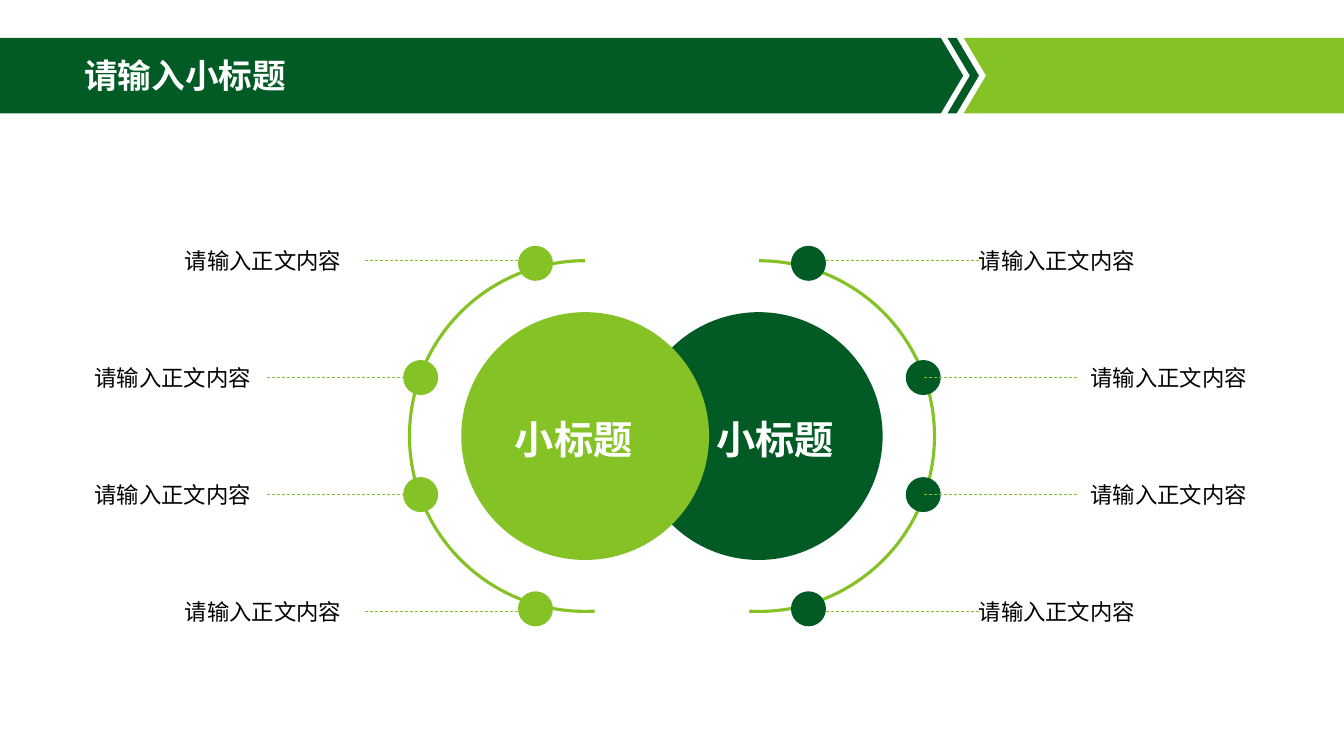
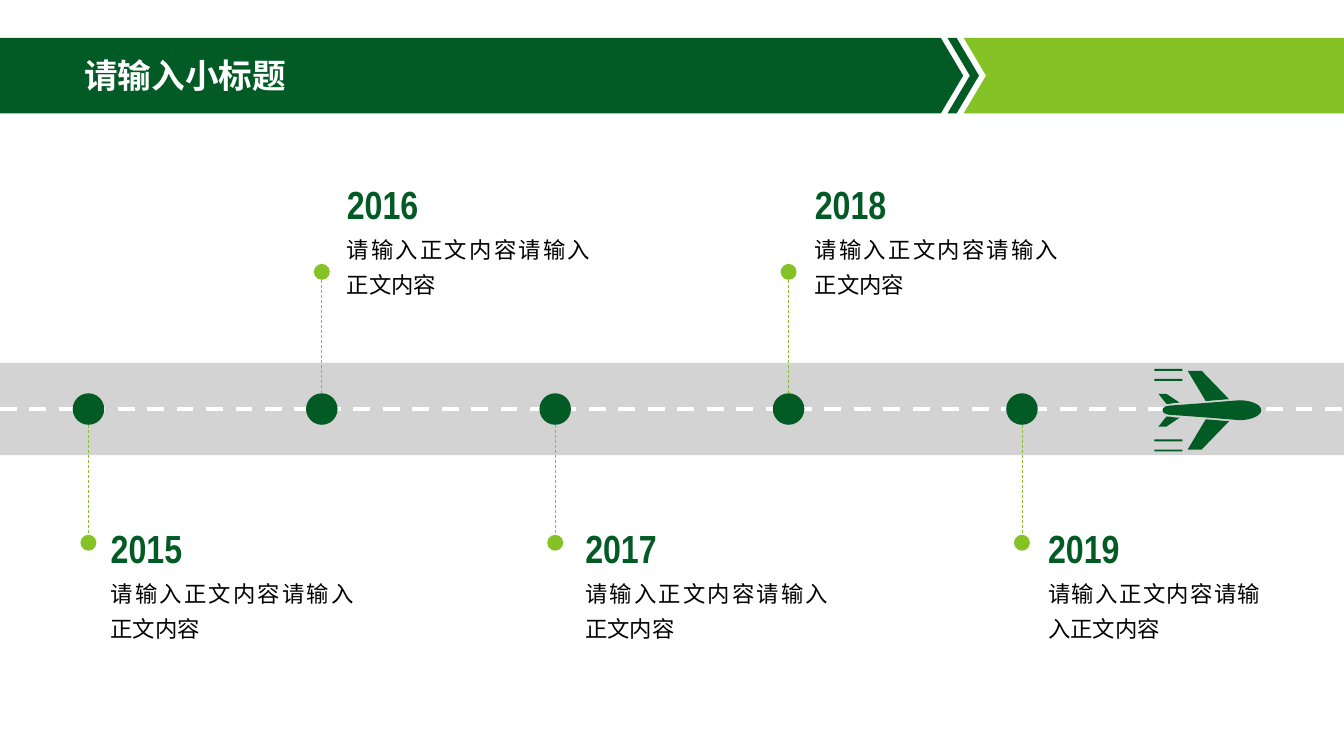
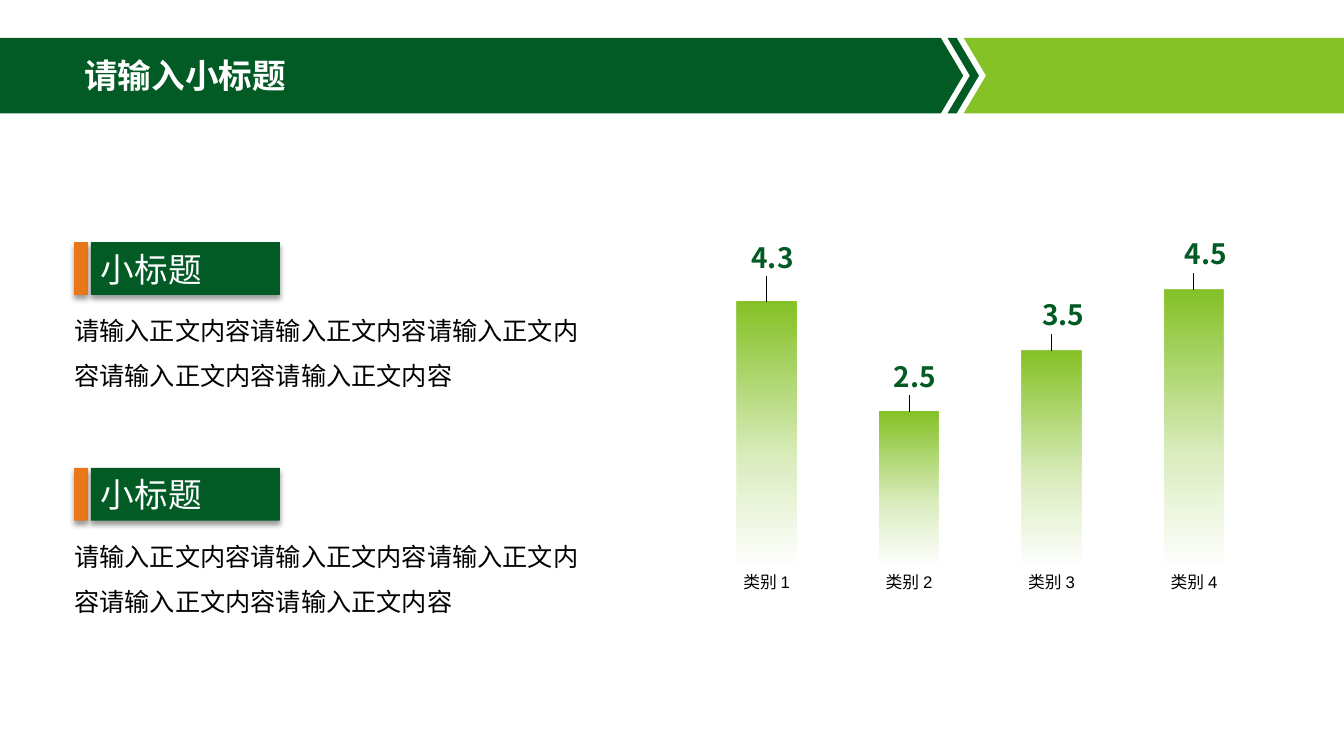
from dataclasses import dataclass
from math import cos, pi, sin

from pptx import Presentation
from pptx.chart.data import CategoryChartData
from pptx.dml.color import RGBColor
from pptx.enum import chart as charts, dml, shapes, text
from pptx.oxml import parse_xml
from pptx.oxml.ns import nsdecls
from pptx.oxml.xmlchemy import OxmlElement
from pptx.util import Pt


@dataclass(frozen=True)
class Theme:
    dark: str = "025B25"
    light: str = "85C226"
    road: str = "D3D3D3"
    accent: str = "E8781A"
    white: str = "FFFFFF"
    black: str = "000000"
    sans: str = "Noto Sans CJK SC"
    narrow: str = "Arial Narrow"
    axis: str = "Arial"
    title: int = 24
    heading: int = 28
    body: int = 18
    label: int = 16
    value: int = 20
    category: int = 12


THEME = Theme()
ALIGN = text.PP_ALIGN
PRESET = shapes.MSO_SHAPE


def rgb(colour):
    return RGBColor.from_string(colour)


def lengths(*points):
    return [Pt(point) for point in points]


def style_font(font, size, colour, name=THEME.sans, bold=False):
    font.size = Pt(size)
    font.bold = bold
    font.color.rgb = rgb(colour)
    font.name = name


def write(frame, words, size, colour, name=THEME.sans, bold=False,
          align=ALIGN.LEFT, spacing=None):
    frame.text = words
    frame.word_wrap = True
    para = frame.paragraphs[0]
    para.alignment = align
    if spacing:
        para.line_spacing = spacing
    style_font(para.font, size, colour, name, bold)
    east_asian = OxmlElement("a:ea")
    east_asian.set("typeface", name)
    para.font._rPr.append(east_asian)


def add_text(page, box, words, size, colour, grow=False, **style):
    area = page.shapes.add_textbox(*lengths(*box))
    write(area.text_frame, words, size, colour, **style)
    if grow:
        area.text_frame.auto_size = text.MSO_AUTO_SIZE.SHAPE_TO_FIT_TEXT
    return area


def paint(shape, fill):
    shape.shadow.inherit = False
    shape.fill.solid()
    shape.fill.fore_color.rgb = rgb(fill)
    shape.line.fill.background()
    return shape


def add_shape(page, preset, box, fill):
    return paint(page.shapes.add_shape(preset, *lengths(*box)), fill)


def add_disc(page, centre_x, centre_y, size, fill):
    box = (centre_x - size / 2, centre_y - size / 2, size, size)
    return add_shape(page, PRESET.OVAL, box, fill)


def add_dashes(page, start, end, colour, width=0.5):
    line = page.shapes.add_connector(shapes.MSO_CONNECTOR.STRAIGHT, *lengths(*start, *end))
    line.line.color.rgb = rgb(colour)
    line.line.width = Pt(width)
    line.line.dash_style = dml.MSO_LINE.DASH
    line._element.spPr.append(OxmlElement("a:effectLst"))


def add_outline(page, contours, fill):
    contours = [[lengths(*point) for point in contour] for contour in contours]
    builder = page.shapes.build_freeform(*contours[0][0])
    for index, contour in enumerate(contours):
        if index:
            builder.move_to(*contour[0])
        builder.add_line_segments(contour[1:], close=True)
    return paint(builder.convert_to_shape(), fill)


def add_page(deck):
    page = deck.slides.add_slide(deck.slide_layouts[5])
    title = page.shapes.title
    title.left, title.top, title.width, title.height = lengths(53, 31.5, 598, 47.5)
    title.text_frame.vertical_anchor = text.MSO_ANCHOR.MIDDLE
    title.text_frame.auto_size = text.MSO_AUTO_SIZE.NONE
    write(title.text_frame, "请输入小标题", THEME.title, THEME.white, bold=True, spacing=0.9)
    return page


def add_bands(layout, page, top, height):
    middle, bottom = top + height / 2, top + height
    bands = [
        ([(0, top), (672, top), (688, middle), (672, bottom), (0, bottom)], THEME.dark),
        ([(676.8, top), (683.3, top), (699.3, middle), (683.3, bottom),
          (676.8, bottom), (692.8, middle)], THEME.dark),
        ([(688.3, top), (960, top), (960, bottom), (688.3, bottom),
          (704.3, middle)], THEME.light),
    ]
    for index, (contour, fill) in enumerate(bands):
        band = add_outline(page, [contour], fill)._element
        band.nvSpPr.cNvPr.set("id", str(20 + index))
        layout.shapes.element.insert(2 + index, band)


def add_fan(page, box, colour, mirrored):
    left, top, width, height = box

    def across(x, span=0):
        return left + (width - x - span if mirrored else x)

    middle = top + height / 2
    add_disc(page, across(125), middle, 177, colour)
    arc = page.shapes.add_shape(
        PRESET.ARC, *lengths(across(0, 250.5), middle - 125.25, 250.5, 250.5))
    arc.shadow.inherit = False
    arc.fill.background()
    arc.line.color.rgb = rgb(THEME.light)
    arc.line.width = Pt(2.25)
    angles = (52.06, 162) if mirrored else (162, 55.94)
    arc.adjustments[0], arc.adjustments[1] = angles

    outer = (160.5, 173, 283, 275, 143)
    inner = (242.5, 243, 353, 355, 127.5)
    for row, dot_shift in enumerate((2, 0, 0, -2)):
        dot, start, end, label, span = inner if row in (1, 2) else outer
        y = middle + (row - 1.5) * 83.6
        add_disc(page, across(dot), y + dot_shift, 25, colour)
        add_dashes(page, (across(start), y), (across(end), y), THEME.light)
        add_text(page, (across(label, span), y - 18.7, span, 37.4), "请输入正文内容",
                 THEME.label, THEME.black, align=ALIGN.JUSTIFY, spacing=1.3)


def build_circles(page):
    add_fan(page, (417, 175.5, 483, 272), THEME.dark, False)
    add_fan(page, (60, 175.5, 483, 272), THEME.light, True)
    for left in (346.5, 490.5):
        add_text(page, (left, 293, 126.5, 41), "小标题", THEME.heading, THEME.white,
                 bold=True, align=ALIGN.CENTER, grow=True)


def add_milestone(page, x, y, year, above, indent, width):
    direction = -1 if above else 1
    tip = y + direction * 95.5 + (-2.5 if above else 0)
    add_disc(page, x, y, 22.5, THEME.dark)
    add_dashes(page, (x, y + direction * 11.25), (x, tip), THEME.light)
    add_disc(page, x, tip, 11.4, THEME.light)
    top = tip - (69 if above else 17)
    add_text(page, (x + indent, top + 34.3, width, 58), "请输入正文内容请输入正文内容",
             THEME.label, THEME.black, align=ALIGN.JUSTIFY, spacing=1.3)
    add_text(page, (x + indent, top, 188, 41), year, THEME.heading, THEME.dark,
             name=THEME.narrow, bold=True, grow=True)


def add_plane(page, left, middle):
    nose = [(60.5 + 15.8 * sin(pi * step / 24), 7.1 * cos(pi * step / 24))
            for step in range(13)]
    flank = [(5.8, 0), (6.3, 1.5), (8, 2.7), (10.8, 3.3), (20.9, 4), (36.7, 5.2),
             (55.4, 6.7)] + nose
    body = flank + [(x, -y) for x, y in reversed(flank[1:-1])]
    half = [
        [(36.7, 6.5), (53.3, 7.9), (33.8, 28.1), (23.8, 28.1)],
        [(8.6, 4.5), (10.8, 4.6), (14.4, 5.2), (18, 5.4), (8.6, 11.7), (2.9, 11.7)],
    ]
    half += [[(0, y), (20, y), (20, y + 1.4), (0, y + 1.4)] for y in (20.9, 28.1)]
    mirrored = [[(x, -y) for x, y in contour] for contour in half]
    contours = [[(left + x, middle + y) for x, y in contour]
                for contour in [body] + half + mirrored]
    add_outline(page, contours, THEME.dark)


def build_timeline(page):
    middle = 292.2
    add_shape(page, PRESET.RECTANGLE, (0, middle - 33, 960, 66), THEME.road)
    add_dashes(page, (0, middle), (960, middle), THEME.white, 3)
    details = [(8.8, 188), (10.8, 188), (14.4, 188), (11.7, 188), (11.6, 166)]
    for index, (indent, width) in enumerate(details):
        add_milestone(page, 63.2 + index * 166.7, middle, str(2015 + index),
                      index % 2 == 1, indent, width)
    add_plane(page, 824.6, 293)


def add_drop_shadow(shape):
    shape._element.spPr.find("{*}effectLst").append(parse_xml(
        f'<a:outerShdw {nsdecls("a")} blurRad="50800" dist="38100" dir="5400000" '
        f'algn="t" rotWithShape="0"><a:srgbClr val="{THEME.black}">'
        '<a:alpha val="40000"/></a:srgbClr></a:outerShdw>'))


def add_section(page, left, top):
    tab = add_shape(page, PRESET.RECTANGLE, (left, top, 10, 37.7), THEME.accent)
    header = add_shape(page, PRESET.RECTANGLE, (left + 12, top, 135, 37.7), THEME.dark)
    for part in (tab, header):
        add_drop_shadow(part)
    header.text_frame.vertical_anchor = text.MSO_ANCHOR.MIDDLE
    write(header.text_frame, "小标题", THEME.title, THEME.white)
    body = add_text(page, (left, top + 37.7, 375, 83), "请输入正文内容" * 5,
                    THEME.body, THEME.black, spacing=1.5)
    body.text_frame.margin_left = 0


def fade_fill(series):
    stops = "".join(
        f'<a:gs pos="{position}000"><a:srgbClr val="{THEME.light}">'
        f'<a:alpha val="{alpha}000"/></a:srgbClr></a:gs>'
        for position, alpha in ((0, 100), (59, 30), (100, 0)))
    series.format.fill.background()
    bar_style = series._element.spPr
    bar_style.replace(bar_style[0], parse_xml(
        f'<a:gradFill {nsdecls("a")} rotWithShape="1"><a:gsLst>{stops}</a:gsLst>'
        '<a:lin ang="5400000" scaled="0"/></a:gradFill>'))


def manual_layout(**values):
    parts = "".join(f'<c:{key} val="{value}"/>' for key, value in values.items())
    return parse_xml(f'<c:layout {nsdecls("c")}><c:manualLayout>{parts}'
                     '</c:manualLayout></c:layout>')


def add_columns(page, box):
    data = CategoryChartData()
    data.categories = [f"类别 {number}" for number in range(1, 5)]
    data.add_series("Series 1", (4.3, 2.5, 3.5, 4.5))
    chart = page.shapes.add_chart(
        charts.XL_CHART_TYPE.COLUMN_CLUSTERED, *lengths(*box), data).chart
    chart.has_legend = chart.has_title = False
    style_font(chart.font, 10, THEME.black, THEME.axis)
    plot_area = chart._chartSpace.chart.plotArea
    for layout in plot_area.findall("{*}layout"):
        plot_area.remove(layout)
    plot_area.insert(0, manual_layout(layoutTarget="inner", xMode="edge", yMode="edge",
                                      x=0.03, y=0.07, w=0.96, h=0.73))

    values = chart.value_axis
    values.visible = values.has_major_gridlines = False
    values.minimum_scale, values.maximum_scale = 0, 5
    categories = chart.category_axis
    categories.major_tick_mark = charts.XL_TICK_MARK.NONE
    categories.format.line.fill.background()
    style_font(categories.tick_labels.font, THEME.category, THEME.black, THEME.axis)

    plot = chart.plots[0]
    plot.vary_by_categories = False
    plot.gap_width = 141
    series = plot.series[0]
    fade_fill(series)
    shifts = [(0.01, -0.05), (0.01, -0.03), (0.02, -0.03), (0.02, -0.03)]
    for index, (x, y) in enumerate(shifts):
        label = series.points[index].data_label
        style_font(label.font, THEME.value, THEME.dark, bold=True)
        label.position = charts.XL_LABEL_POSITION.OUTSIDE_END
        label._dLbl.find("{*}idx").addnext(manual_layout(x=x, y=y))


def build_report(page):
    for top in (173, 334.3):
        add_section(page, 53, top)
    add_columns(page, (484, 164, 424, 299.5))


def main():
    deck = Presentation()
    deck.slide_width, deck.slide_height = lengths(960, 540)
    builders = (build_circles, build_timeline, build_report)
    pages = [add_page(deck) for _ in builders]
    add_bands(deck.slide_layouts[5], pages[0], 27, 54)
    for build, page in zip(builders, pages):
        build(page)
    deck.save("out.pptx")


if __name__ == "__main__":
    main()
